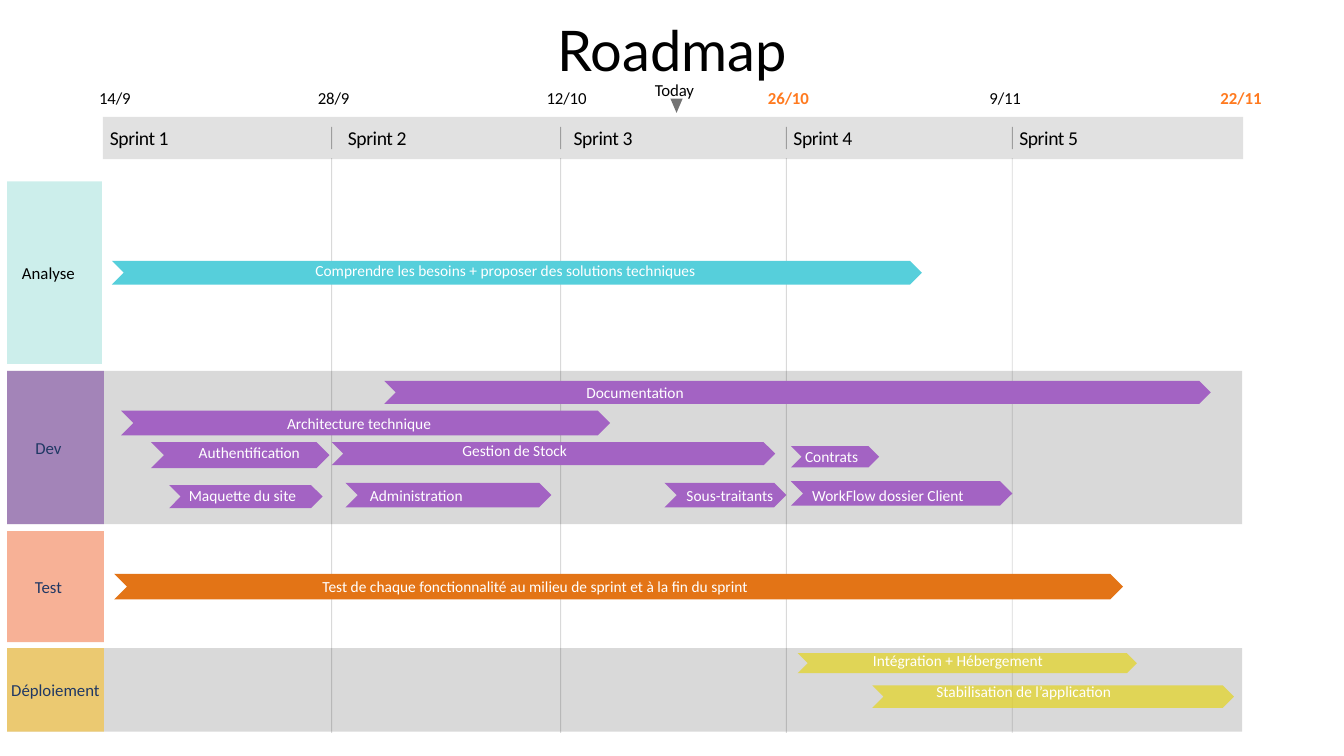
from lxml import etree
from pptx import Presentation
from pptx.dml.color import RGBColor
from pptx.enum.shapes import MSO_CONNECTOR, MSO_SHAPE
from pptx.enum.text import MSO_ANCHOR, PP_ALIGN
from pptx.oxml.ns import qn
from pptx.util import Inches, Pt

RECTANGLE, CHEVRON = MSO_SHAPE.RECTANGLE, MSO_SHAPE.CHEVRON
TRIANGLE = MSO_SHAPE.FLOWCHART_MERGE
STRAIGHT = MSO_CONNECTOR.STRAIGHT
LEFT, CENTER = PP_ALIGN.LEFT, PP_ALIGN.CENTER
MIDDLE, TOP = MSO_ANCHOR.MIDDLE, MSO_ANCHOR.TOP

BLACK = RGBColor(0x00, 0x00, 0x00)
WHITE = RGBColor(0xFF, 0xFF, 0xFF)
HEADER_GRAY = RGBColor(0xE1, 0xE1, 0xE1)
MARKER_GRAY = RGBColor(0x73, 0x73, 0x73)
NAVY = RGBColor(0x20, 0x38, 0x64)
DEADLINE_ORANGE = RGBColor(0xFF, 0x7A, 0x1F)
MINT = RGBColor(0x9A, 0xDE, 0xD8)
PLUM = RGBColor(0x6F, 0x31, 0x98)
CORAL = RGBColor(0xF0, 0x64, 0x2F)
AMBER = RGBColor(0xFE, 0xBA, 0x0A)
TURQUOISE = RGBColor(0x56, 0xCF, 0xDB)
PURPLE = RGBColor(0xA3, 0x63, 0xC3)
ORANGE = RGBColor(0xE3, 0x74, 0x16)
YELLOW = RGBColor(0xE4, 0xD4, 0x1F)

TITLE = "Roadmap"
TODAY = "Today"
SPRINT_EDGES = [1.02, 3.29, 5.56, 7.8, 10.04, 12.33]
# name, indent from the sprint's edge
SPRINTS = [("Sprint 1", 0.07), ("Sprint 2", 0.16), ("Sprint 3", 0.13),
           ("Sprint 4", 0.07), ("Sprint 5", 0.07)]
# text, centre, is a deadline
DATES = [("14/9", 1.14, False), ("28/9", 3.31, False), ("12/10", 5.62, False),
         ("26/10", 7.82, True), ("9/11", 9.97, False), ("22/11", 12.31, True)]

# name, top, height, label width, label centre, tint, text colour, shaded, bar colour, bar opacity, bars
# bar: text, start sprint, end sprint, middle, height, text sprint, text middle
LANES = [
    ("Analyse", 1.8, 1.81, 0.94, 0.48, MINT, BLACK, False, TURQUOISE, 100, [
        ("Comprendre les besoins + proposer des solutions techniques",
         0.04, 3.6, 0.5, 0.13, 1.76, 0.49)]),
    ("Dev", 3.68, 1.52, 0.96, 0.48, PLUM, NAVY, True, PURPLE, 100, [
        ("Documentation", 1.23, 4.86, 0.14, 0.15, 2.33, 0.14),
        ("Architecture technique", 0.08, 2.22, 0.34, 0.16, 1.12, 0.34),
        ("Authentification", 0.21, 0.99, 0.55, 0.17, 0.64, 0.53),
        ("Gestion de Stock", 1, 2.95, 0.54, 0.15, 1.8, 0.52),
        ("Contrats", 3.02, 3.41, 0.56, 0.14, 3.2, 0.56),
        ("Maquette du site", 0.29, 0.96, 0.82, 0.15, 0.61, 0.81),
        ("Administration", 1.06, 1.96, 0.81, 0.16, 1.37, 0.81),
        ("Sous-traitants", 2.46, 3, 0.81, 0.16, 2.75, 0.81),
        ("WorkFlow dossier Client", 3.02, 4, 0.8, 0.16, 3.45, 0.81)]),
    ("Test", 5.27, 1.1, 0.96, 0.48, CORAL, NAVY, False, ORANGE, 100, [
        ("Test de chaque fonctionnalité au milieu de sprint et à la fin du sprint",
         0.05, 4.48, 0.5, 0.23, 1.89, 0.5)]),
    ("Déploiement", 6.43, 0.83, 0.96, 0.55, AMBER, NAVY, True, YELLOW, 70, [
        ("Intégration + Hébergement", 3.05, 4.54, 0.18, 0.24, 3.76, 0.15),
        ("Stabilisation de l’application", 3.38, 4.96, 0.58, 0.27, 4.05, 0.52)]),
]
LANE_LEFT = 0.07
LANE_WIDTH = 12.25


def sprint_x(position):
    column = min(int(position), len(SPRINTS) - 1)
    start, end = SPRINT_EDGES[column:column + 2]
    return start + (position - column) * (end - start)


def set_opacity(properties, percent):
    if percent < 100:
        color = properties.find(".//" + qn("a:srgbClr"))
        etree.SubElement(color, qn("a:alpha")).set("val", str(percent * 1000))


def add_block(kind, left, top, width, height, color, opacity=100):
    shape = slide.shapes.add_shape(
        kind, Inches(left), Inches(top), Inches(width), Inches(height))
    shape.shadow.inherit = False
    shape.fill.solid()
    shape.fill.fore_color.rgb = color
    shape.line.fill.background()
    set_opacity(shape._element.spPr, opacity)


def add_divider(x, top, bottom, weight, opacity):
    line = slide.shapes.add_connector(
        STRAIGHT, Inches(x), Inches(top), Inches(x), Inches(bottom))
    line.line.color.rgb = BLACK
    line.line.width = Pt(weight)
    properties = line._element.spPr
    set_opacity(properties, opacity)
    etree.SubElement(properties, qn("a:effectLst"))


def write(frame, text, size, color, font="Calibri", align=CENTER, bold=False, spacing=0):
    paragraph = frame.paragraphs[0]
    paragraph.alignment = align
    run = paragraph.add_run()
    run.text = text
    run.font.name = font
    run.font.size = Pt(size)
    run.font.bold = bold
    run.font.color.rgb = color
    if spacing:
        run._r.get_or_add_rPr().set("spc", str(round(spacing * 100)))


def add_label(text, left, middle, width, size, color, **style):
    height = size / 60
    box = slide.shapes.add_textbox(
        Inches(left), Inches(middle - height / 2), Inches(width), Inches(height))
    frame = box.text_frame
    frame.word_wrap = True
    frame.vertical_anchor = MIDDLE
    frame.margin_left = frame.margin_right = frame.margin_top = frame.margin_bottom = 0
    write(frame, text, size, color, **style)


def add_centered_label(text, center, middle, width, size, color, **style):
    add_label(text, center - width / 2, middle, width, size, color, **style)


presentation = Presentation()
presentation.slide_width = Inches(13.33)
presentation.slide_height = Inches(7.5)
slide = presentation.slides.add_slide(presentation.slide_layouts[5])

title = slide.shapes.title
title.left, title.top, title.width, title.height = (
    Inches(2.74), Inches(0.1), Inches(7.85), Inches(0.77))
title.text_frame.vertical_anchor = TOP
write(title.text_frame, TITLE, 40, BLACK, font="Lato")

add_block(RECTANGLE, SPRINT_EDGES[0], 1.16, SPRINT_EDGES[-1] - SPRINT_EDGES[0], 0.42, HEADER_GRAY)
for name, top, height, width, center, tint, text_color, shaded, *bars in LANES:
    if shaded:
        add_block(RECTANGLE, LANE_LEFT, top, LANE_WIDTH, height, BLACK, 15)
    add_block(RECTANGLE, LANE_LEFT, top, width, height, tint, 50)
    add_centered_label(name, center, top + height / 2, 0.92, 12, text_color)

for edge in SPRINT_EDGES[1:-1]:
    add_divider(edge, 1.57, 7.27, 0.68, 15)
    add_divider(edge, 1.26, 1.48, 0.75, 30)

for (name, indent), edge in zip(SPRINTS, SPRINT_EDGES):
    add_label(name, edge + indent, 1.37, 1, 14, BLACK, align=LEFT, spacing=-0.3)

for text, center, deadline in DATES:
    add_centered_label(text, center, 0.97, 0.46, 12, DEADLINE_ORANGE if deadline else BLACK,
                       bold=deadline, spacing=0 if deadline else -0.1)

add_block(TRIANGLE, 6.65, 0.98, 0.12, 0.14, MARKER_GRAY)
add_centered_label(TODAY, 6.69, 0.89, 0.46, 12, BLACK, spacing=-0.1)

for lane in LANES:
    lane_top, lane_height = lane[1:3]
    bar_color, opacity, bars = lane[-3:]
    for text, start, end, middle, share, text_sprint, text_middle in bars:
        left, width = sprint_x(start), sprint_x(end) - sprint_x(start)
        height = share * lane_height
        add_block(CHEVRON, left, lane_top + middle * lane_height - height / 2,
                  width, height, bar_color, opacity)
        add_centered_label(text, sprint_x(text_sprint), lane_top + text_middle * lane_height,
                           max(width, 1), 11, WHITE)

presentation.save("out.pptx")
